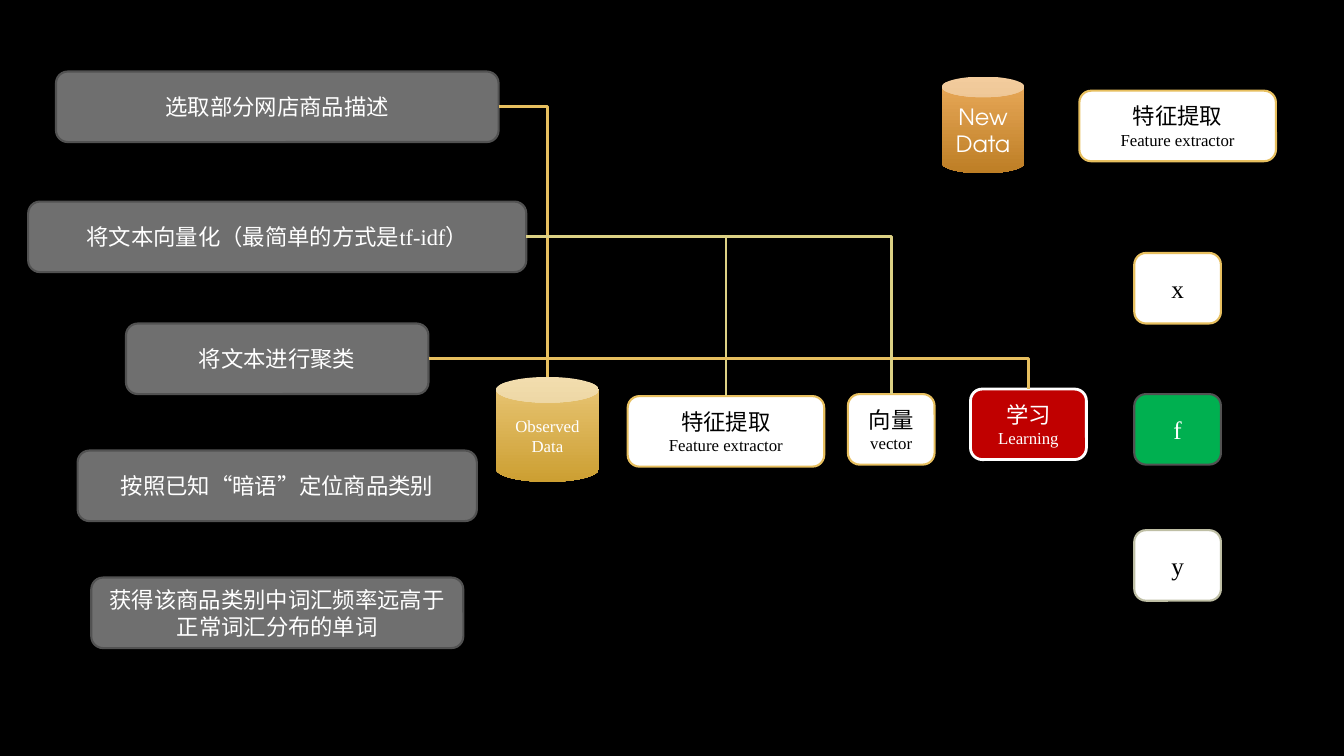
from lxml import etree
from pptx import Presentation
from pptx import util as u
from pptx.dml.color import RGBColor
from pptx.enum import shapes, text
from pptx.oxml.ns import qn

WIDTH, HEIGHT = 13.33, 7.5
ROW_HEIGHT = 0.7
STEP_COLUMN, RESULT_COLUMN = 2.75, 11.68
CJK, SERIF, GEOMETRIC = "Noto Sans CJK SC", "Times New Roman", "TeX Gyre Adventor"
GOLD, PALE_GOLD, WHITE, BLACK = "E7BF5F", "DCD084", "FFFFFF", "000000"

STYLES = {
    "step": {"fill": "6F6F6F", "line": "525252", "weight": 1.5, "ink": WHITE},
    "card": {"fill": WHITE, "line": GOLD, "weight": 1.5, "ink": BLACK},
    "learn": {"fill": "C00000", "line": WHITE, "weight": 2, "ink": WHITE},
    "model": {"fill": "00B050", "line": "525252", "weight": 1.5, "ink": WHITE},
    "output": {"fill": WHITE, "line": "BFBFA5", "weight": 1.5, "ink": BLACK},
    "observed": {"gradient": ("EAC778", "CC9F32"), "ink": WHITE},
    "new": {"gradient": ("EBAB5C", "BD7E25"), "ink": WHITE},
}

STEPS = [
    ("select", 1.06, 4.39, [[("选取部分网店商品描述", CJK, 16)]]),
    ("vectorise", 2.35, 4.94, [[("将文本向量化（最简单的方式是", CJK, 16),
                                ("tf-idf", SERIF, 16), ("）", CJK, 16)]]),
    ("cluster", 3.56, 3.0, [[("将文本进行聚类", CJK, 16)]]),
    ("locate", 4.82, 3.96, [[("按照已知“暗语”定位商品类别", CJK, 16)]]),
    ("find words", 6.08, 3.69, [[("获得该商品类别中词汇频率远高于正常词汇分布的单词", CJK, 16)]]),
]


def bilingual(chinese, english):
    return [[(chinese, CJK, 16)], [(english, SERIF, 12)]]


def symbol(letter):
    return [[(letter, SERIF, 18)]]


EXTRACTOR = bilingual("特征提取", "Feature extractor")

NODES = [
    ("observed data", "observed", 5.43, 4.26, 1.02, 1.04,
     [[("Observed", SERIF, 12)], [("Data", SERIF, 12)]]),
    ("extractor", "card", 7.2, 4.28, 1.95, ROW_HEIGHT, EXTRACTOR),
    ("vector", "card", 8.84, 4.26, 0.86, ROW_HEIGHT, bilingual("向量", "vector")),
    ("learning", "learn", 10.2, 4.21, 1.15, ROW_HEIGHT, bilingual("学习", "Learning")),
    ("f", "model", RESULT_COLUMN, 4.26, 0.86, ROW_HEIGHT, symbol("f")),
    ("x", "card", RESULT_COLUMN, 2.86, 0.86, ROW_HEIGHT, symbol("x")),
    ("y", "output", RESULT_COLUMN, 5.61, 0.86, ROW_HEIGHT, symbol("y")),
    ("new extractor", "card", RESULT_COLUMN, 1.25, 1.95, ROW_HEIGHT, EXTRACTOR),
    ("new data", "new", 9.75, 1.24, 0.82, 0.96,
     [[("New", GEOMETRIC, 16)], [("Data", GEOMETRIC, 16)]]),
]

LINKS = [
    ("select", "observed data", GOLD, 0),
    ("vectorise", "extractor", PALE_GOLD, 0),
    ("cluster", "learning", GOLD, 0),
    ("vectorise", "vector", PALE_GOLD, 0.5),
]


def colour(value):
    return RGBColor.from_string(value)


def write_text(shape, paragraphs, ink):
    frame = shape.text_frame
    for name, value in {"word_wrap": True, "vertical_anchor": text.MSO_ANCHOR.MIDDLE}.items():
        setattr(frame, name, value)
    for index, runs in enumerate(paragraphs):
        para = frame.paragraphs[0] if index == 0 else frame.add_paragraph()
        para.alignment = text.PP_ALIGN.CENTER
        for words, typeface, size in runs:
            span = para.add_run()
            span.text = words
            for name, value in {"name": typeface, "size": u.Pt(size)}.items():
                setattr(span.font, name, value)
            span.font.color.rgb = colour(ink)
            properties = span.font._element
            etree.SubElement(properties, qn("a:ea")).set("typeface", typeface)


def add_node(page, style, centre_x, centre_y, width, height, paragraphs):
    look = STYLES[style]
    kind = shapes.MSO_SHAPE.CAN if "gradient" in look else shapes.MSO_SHAPE.ROUNDED_RECTANGLE
    shape = page.shapes.add_shape(
        kind, u.Inches(centre_x - width / 2), u.Inches(centre_y - height / 2),
        u.Inches(width), u.Inches(height))
    shape.shadow.inherit = False
    if "gradient" in look:
        shape.fill.gradient()
        shape.fill.gradient_angle = 270
        for stop, value in zip(shape.fill.gradient_stops, look["gradient"]):
            stop.color.rgb = colour(value)
        shape.line.fill.background()
    else:
        shape.fill.solid()
        shape.fill.fore_color.rgb = colour(look["fill"])
        shape.line.color.rgb = colour(look["line"])
        shape.line.width = u.Pt(look["weight"])
    write_text(shape, paragraphs, look["ink"])
    return shape


def add_link(page, start, end, value, offset):
    link = page.shapes.add_connector(
        shapes.MSO_CONNECTOR.ELBOW,
        start.left + start.width + u.Inches(offset), start.top + start.height // 2,
        end.left + end.width // 2, end.top)
    link.line.color.rgb = colour(value)
    link.line.width = u.Pt(2)
    properties = link._element.spPr
    properties.find(qn("a:prstGeom")).set("prst", "bentConnector2")
    etree.SubElement(properties, qn("a:effectLst"))


def main():
    deck = Presentation()
    deck.slide_width, deck.slide_height = u.Inches(WIDTH), u.Inches(HEIGHT)
    page = deck.slides.add_slide(deck.slide_layouts[6])
    page.background.fill.solid()
    page.background.fill.fore_color.rgb = colour(BLACK)
    placed = {}
    for name, row, width, paragraphs in STEPS:
        placed[name] = add_node(page, "step", STEP_COLUMN, row, width, ROW_HEIGHT, paragraphs)
    for name, *details in NODES:
        placed[name] = add_node(page, *details)
    for start, end, value, offset in LINKS:
        add_link(page, placed[start], placed[end], value, offset)
    deck.save("out.pptx")


if __name__ == "__main__":
    main()
